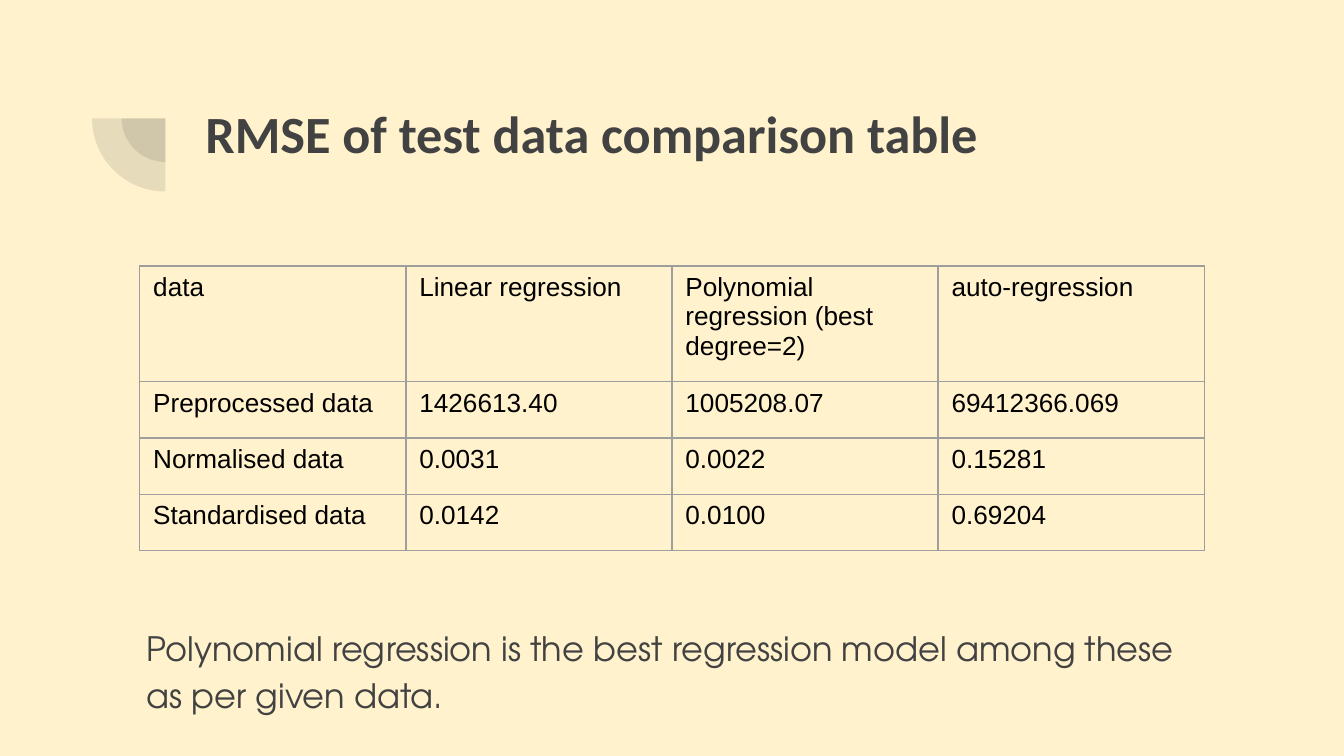
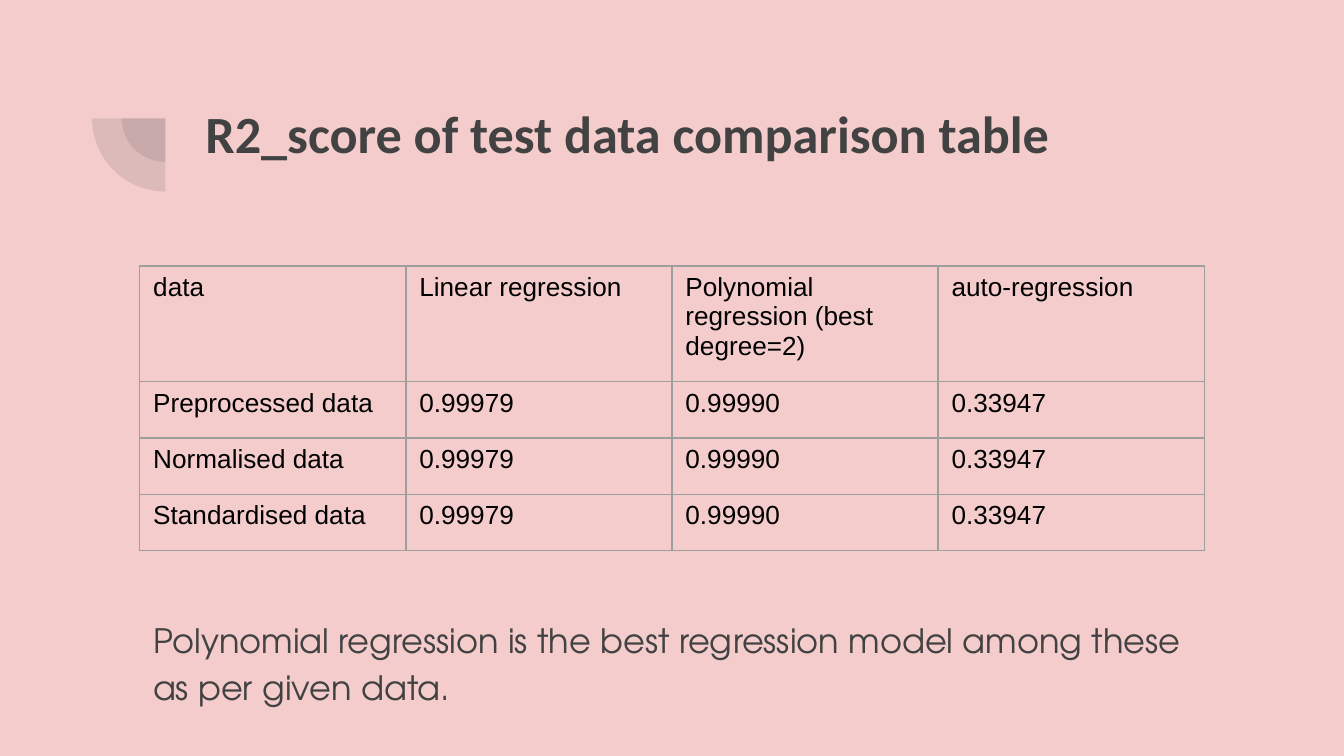
from lxml.etree import SubElement
from pptx import Presentation
from pptx.dml.color import RGBColor
from pptx.enum.shapes import MSO_SHAPE
from pptx.oxml.ns import qn
from pptx.util import Inches, Pt

INK, BLACK, GRID = "424242", "000000", "9E9E9E"
HEAD = ["data", "Linear regression", "Polynomial regression (best degree=2)",
        "auto-regression"]
KINDS = ["Preprocessed data", "Normalised data", "Standardised data"]
VERDICT = ("Polynomial regression is the best regression model "
           "among these as per given data.")
RMSE = [["1426613.40", "1005208.07", "69412366.069"],
        ["0.0031", "0.0022", "0.15281"],
        ["0.0142", "0.0100", "0.69204"]]
SCORE = [["0.99979", "0.99990", "0.33947"]] * len(KINDS)


def color(code):
    return RGBColor.from_string(code)


class Deck:
    def __init__(self):
        self.file = Presentation()
        self.file.slide_width = Inches(10)
        self.file.slide_height = Inches(10) * 9 // 16
        self.slide = None

    def begin(self, back):
        """Start a slide with its background and corner ornament."""
        self.slide = self.file.slides.add_slide(self.file.slide_layouts[6])
        fill = self.slide.background.fill
        fill.solid()
        fill.fore_color.rgb = color(back)
        for size in (0.65, 1.09):
            self.wedge(1.23, 0.88, size)

    def wedge(self, x, y, size):
        """Draw a see-through quarter disc around the centre x, y."""
        pie = self.slide.shapes.add_shape(
            MSO_SHAPE.PIE, Inches(x - size / 2), Inches(y - size / 2),
            Inches(size), Inches(size))
        pie.adjustments[0], pie.adjustments[1] = 107.93, 162
        pie.rotation = 270
        pie.shadow.inherit = False
        pie.line.fill.background()
        pie.fill.solid()
        pie.fill.fore_color.rgb = color(INK)
        tint = pie.fill._xPr.find(".//" + qn("a:srgbClr"))
        SubElement(tint, qn("a:alpha"), val="13000")

    def run(self, para, text, font, size, ink, bold=False):
        run = para.add_run()
        run.text = text
        run.font.name = font
        run.font.size = Pt(size)
        run.font.bold = bold
        run.font.color.rgb = color(ink)

    def box(self, x, y, wide, high):
        """Add a wrapped text box and return its first paragraph."""
        frame = self.slide.shapes.add_textbox(
            Inches(x), Inches(y), Inches(wide), Inches(high)).text_frame
        frame.word_wrap = True
        frame.margin_left = frame.margin_right = Inches(0.1)
        frame.margin_top = frame.margin_bottom = Inches(0.1)
        return frame.paragraphs[0]

    def title(self, text):
        self.run(self.box(1.43, 0.65, 7.69, 1.09), text, "Calibri", 28, INK, True)

    def note(self, text, x, y):
        para = self.box(x, y, 7.92, 0.77)
        para.line_spacing = 1.15
        para.space_after = Pt(16)
        self.run(para, text, "TeX Gyre Adventor", 18, INK)

    def border(self, cell):
        props = cell._tc.get_or_add_tcPr()
        for side in ("lnL", "lnR", "lnT", "lnB"):
            line = SubElement(props, qn("a:" + side), w=str(Pt(0.75)))
            fill = SubElement(line, qn("a:solidFill"))
            SubElement(fill, qn("a:srgbClr"), val=GRID)

    def table(self, rows):
        table = self.slide.shapes.add_table(
            len(rows), len(rows[0]), Inches(1.04), Inches(1.98),
            Inches(7.92), Inches(2.12)).table
        table.first_row = table.horz_banding = False
        for r, row in enumerate(rows):
            table.rows[r].height = Inches(0.42 if r else 0.86)
            for c, text in enumerate(row):
                cell = table.cell(r, c)
                self.border(cell)
                cell.fill.background()
                self.run(cell.text_frame.paragraphs[0], text, "Arial", 14, BLACK)

    def compare(self, back, title, values, x, y):
        """Build a comparison slide with its note placed at x, y."""
        self.begin(back)
        self.title(title)
        self.table([HEAD] + [[kind, *row] for kind, row in zip(KINDS, values)])
        self.note(VERDICT, x, y)


def main():
    deck = Deck()
    deck.compare("FFF2CC", "RMSE of test data comparison table", RMSE, 0.99, 4.53)
    deck.compare("F4CCCC", "R2_score of test data comparison table", SCORE, 1.04, 4.47)
    deck.file.save("out.pptx")


if __name__ == "__main__":
    main()
